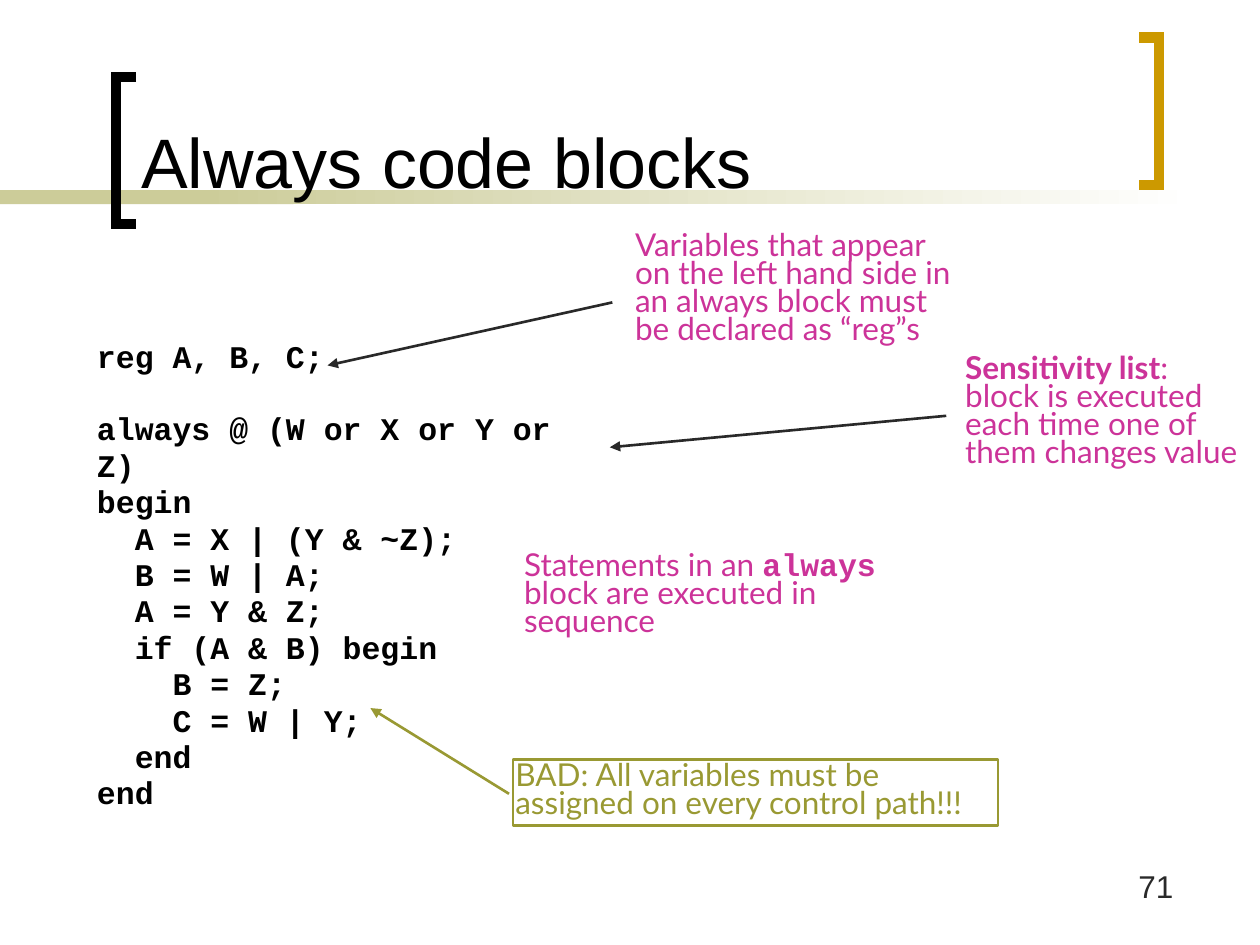
import pptx
import pptx.util
import pptx.dml.color
import pptx.enum.dml
import pptx.enum.shapes
import pptx.enum.text
import pptx.oxml
from dataclasses import dataclass

Pt = pptx.util.Pt
Align = pptx.enum.text.PP_ALIGN
Anchor = pptx.enum.text.MSO_ANCHOR
Fit = pptx.enum.text.MSO_AUTO_SIZE
Shape = pptx.enum.shapes.MSO_SHAPE
NS = 'xmlns:a="http://schemas.openxmlformats.org/drawingml/2006/main"'

# Grid: 100 columns by 75 rows
WIDE, HIGH = pptx.util.Inches(10), pptx.util.Inches(7.5)
COLS, ROWS = 100, 75


@dataclass(frozen=True)
class Theme:
    ink: str = "000000"
    gray: str = "292929"
    pink: str = "CC3399"
    olive: str = "999933"
    sand: str = "CCCC99"
    gold: str = "CC9900"
    white: str = "FFFFFF"
    sans: str = "Arial"
    mono: str = "Courier New"
    note: str = "Lato"
    head: int = 40
    body: int = 18


T = Theme()

CODE = """reg A, B, C;

always @ (W or X or Y or Z)
begin
  A = X | (Y & ~Z);
  B = W | A;
  A = Y & Z;
  if (A & B) begin
    B = Z;
    C = W | Y;
  end
end"""


def col(n):
    return round(WIDE * n / COLS)


def row(n):
    return round(HIGH * n / ROWS)


def place(box):
    x, y, w, h = box
    return col(x), row(y), col(w), row(h)


def rgb(color):
    return pptx.dml.color.RGBColor.from_string(color)


def add_xml(parent, text):
    parent.append(pptx.oxml.parse_xml(text))


def add_run(para, text, color, face, size=T.body, bold=False):
    run = para.add_run()
    run.text = text
    font = run.font
    font.name, font.size, font.bold = face, Pt(size), bold
    font.color.rgb = rgb(color)


def set_frame(shape, anchor=Anchor.MIDDLE):
    frame = shape.text_frame
    frame.word_wrap = True
    frame.auto_size = Fit.SHAPE_TO_FIT_TEXT
    frame.vertical_anchor = anchor
    frame.margin_left = frame.margin_right = col(0.2)
    frame.margin_top = frame.margin_bottom = row(0.3)
    return frame


def next_para(frame, first, pitch):
    para = frame.paragraphs[0] if first else frame.add_paragraph()
    para.alignment = Align.LEFT
    para.line_spacing = Pt(pitch)
    return para


def add_bracket(slide, box, color, left):
    x, y, w, h = box
    spine, tip = (x, x + w) if left else (x + w, x)
    pen = slide.shapes.build_freeform(col(tip), row(y))
    pen.add_line_segments(
        [(col(spine), row(y)), (col(spine), row(y + h)), (col(tip), row(y + h))],
        close=False)
    shape = pen.convert_to_shape()
    shape.shadow.inherit = False
    shape.fill.background()
    shape.line.color.rgb = rgb(color)
    shape.line.width = Pt(6)
    add_xml(shape.line._get_or_add_ln(), f'<a:miter {NS} lim="800000"/>')


def add_band(slide, box):
    x, y, w, h = box
    split = 15.8
    # The fade starts under the solid end
    for part, fade in (((x, y, 23.3, h), False), ((split, y, w - split, h), True)):
        shape = slide.shapes.add_shape(Shape.RECTANGLE, *place(part))
        shape.shadow.inherit = False
        shape.line.fill.background()
        if fade:
            shape.fill.gradient()
            shape.fill.gradient_angle = 0
            for stop, color in zip(shape.fill.gradient_stops, (T.sand, T.white)):
                stop.color.rgb = rgb(color)
        else:
            shape.fill.solid()
            shape.fill.fore_color.rgb = rgb(T.sand)


def add_title(slide, box, text):
    title = slide.shapes.title
    title.element.getparent().append(title.element)  # above the band
    title.left, title.top, title.width, title.height = place(box)
    frame = title.text_frame
    frame.auto_size = Fit.NONE
    frame.vertical_anchor = Anchor.BOTTOM
    para = frame.paragraphs[0]
    para.alignment = Align.LEFT
    add_run(para, text, T.ink, T.sans, T.head)


def add_number(slide, box, text):
    frame = slide.shapes.add_textbox(*place(box)).text_frame
    frame.word_wrap = True
    para = frame.paragraphs[0]
    para.alignment = Align.RIGHT
    add_run(para, text, T.gray, T.sans)


def add_code(slide, box, code):
    frame = set_frame(slide.shapes.add_textbox(*place(box)))
    pitch, gap = 20.8, False
    for i, line in enumerate(code.split("\n")):
        if not line:
            gap = True
            continue
        para = next_para(frame, i == 0, pitch)
        if gap:
            para.space_before = Pt(pitch)
            gap = False
        add_run(para, line, T.ink, T.mono, bold=True)


def add_arrow(slide, start, reach, color):
    (x, y), (dx, dy) = start, reach
    line = slide.shapes.add_connector(
        pptx.enum.shapes.MSO_CONNECTOR.STRAIGHT,
        col(x), row(y), col(x + dx), row(y + dy))
    line.line.color.rgb = rgb(color)
    line.line.width = Pt(1.5)
    add_xml(line.line._get_or_add_ln(), f'<a:tailEnd {NS} type="triangle"/>')
    add_xml(line.element.spPr, f"<a:effectLst {NS}/>")


def add_note(slide, box, lines, color=T.pink, frame_on=False, arrow=None):
    """Lines hold (text, face, bold) runs; arrow is (gap, drop, reach, color)."""
    if frame_on:
        shape = slide.shapes.add_shape(Shape.RECTANGLE, *place(box))
        shape.shadow.inherit = False
        shape.fill.background()
        shape.line.color.rgb = rgb(color)
        shape.line.width = Pt(1.5)
    else:
        shape = slide.shapes.add_textbox(*place(box))
    frame = set_frame(shape)
    for i, runs in enumerate(lines):
        para = next_para(frame, i == 0, 16)
        for text, face, bold in runs:
            add_run(para, text, color, face, bold=bold)
    if arrow:
        gap, drop, reach, tint = arrow
        x, y, _, h = box
        add_arrow(slide, (x - gap, y + h / 2 + drop), reach, tint)


def plain(text):
    return [(text, T.note, False)]


def main():
    deck = pptx.Presentation()
    deck.slide_width, deck.slide_height = WIDE, HIGH
    slide = deck.slides.add_slide(deck.slide_layouts[5])

    # Band, brackets and title
    add_band(slide, (0, 15.1, 95, 1.1))
    add_bracket(slide, (9.2, 6.1, 1.6, 11.7), T.ink, True)
    add_bracket(slide, (90.4, 3, 1.6, 11.7), T.gold, False)
    add_number(slide, (73.3, 68.3, 20.8, 5), "71")
    add_title(slide, (10.2, 1.1, 78.3, 15.5), "Always code blocks")

    # Code and its notes
    add_code(slide, (7.5, 28, 40.7, 35.2), CODE)
    add_note(slide, (76.4, 28.1, 22.5, 9.5),
             [[("Sensitivity list", T.note, True), (":", T.note, False)],
              plain("block is executed"), plain("each time one of"),
              plain("them changes value")],
             arrow=(1.3, 0.15, (-26.7, 2.5), T.gray))
    add_note(slide, (50.2, 18.3, 26.6, 9.5),
             [plain("Variables that appear on the left hand side in an "
                    "always block must be declared as “reg”s")],
             arrow=(1.6, 0.95, (-22.6, 5), T.gray))
    add_note(slide, (41.4, 43.7, 29.4, 7.3),
             [[("Statements in an ", T.note, False), ("always ", T.mono, True),
               ("block are executed in sequence", T.note, False)]])
    add_note(slide, (40.7, 60.3, 38.5, 5.2),
             [plain("BAD: All variables must be assigned on every control path!!!")],
             T.olive, True, (0.3, 0.1, (-11, -6.8), T.olive))

    deck.save("out.pptx")


if __name__ == "__main__":
    main()
